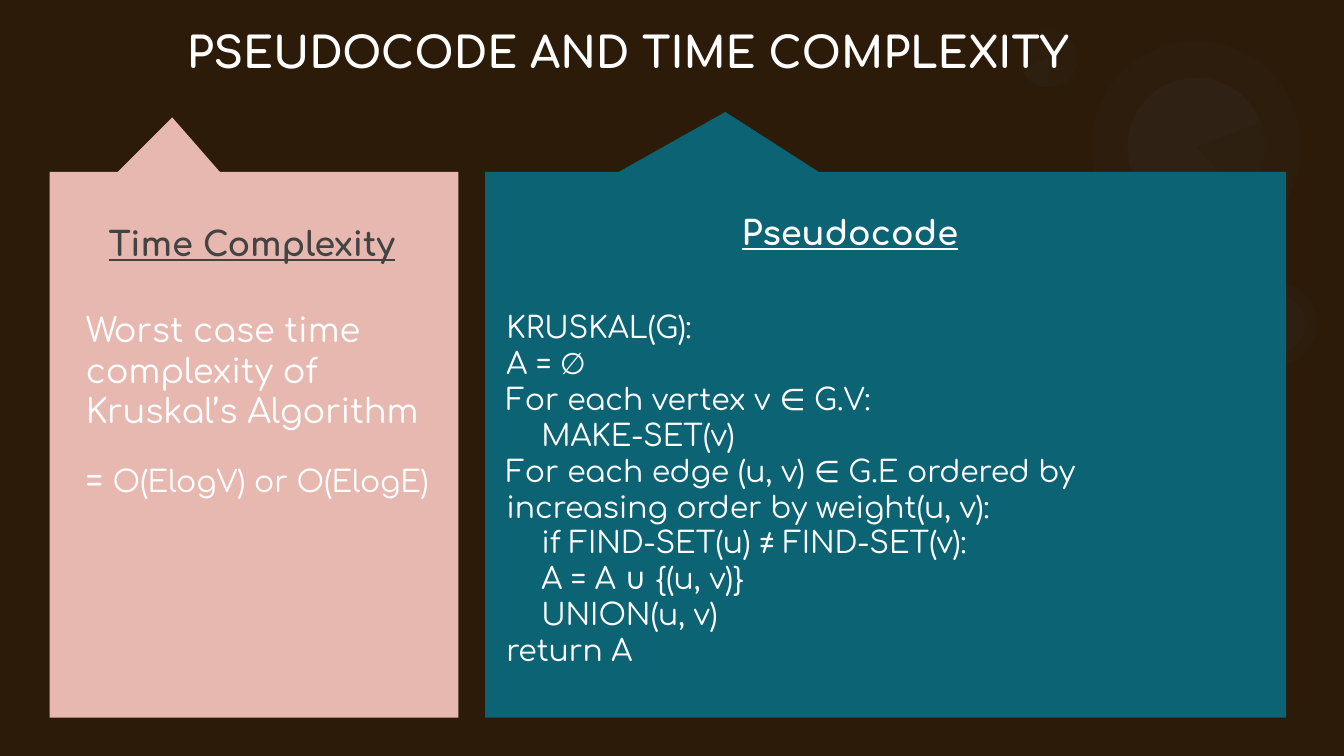
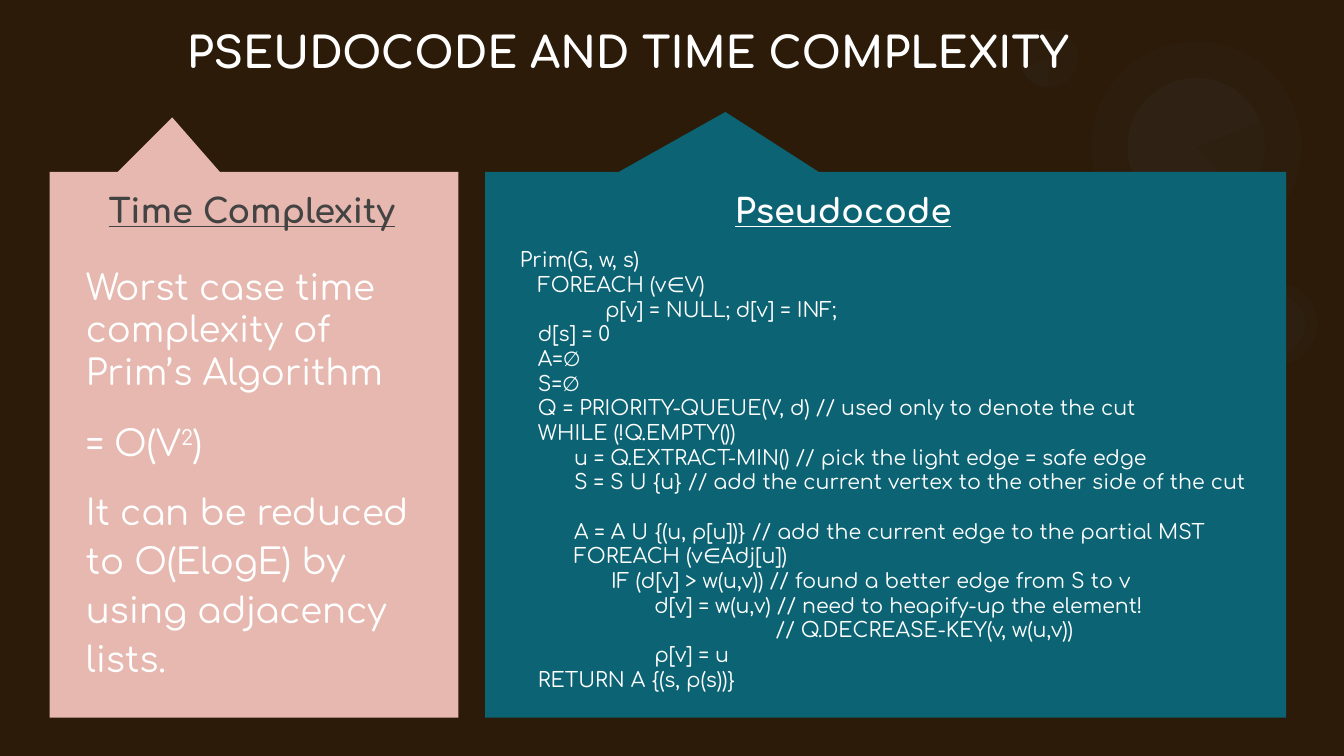
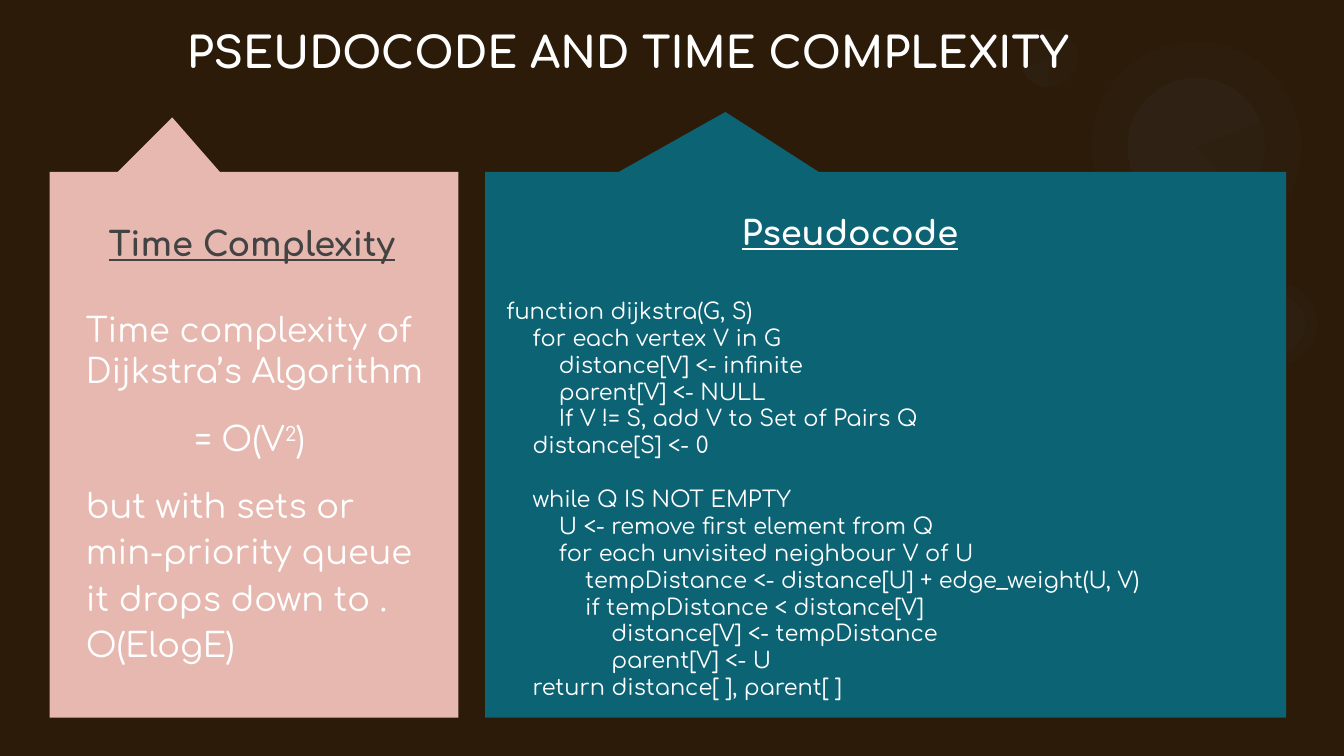
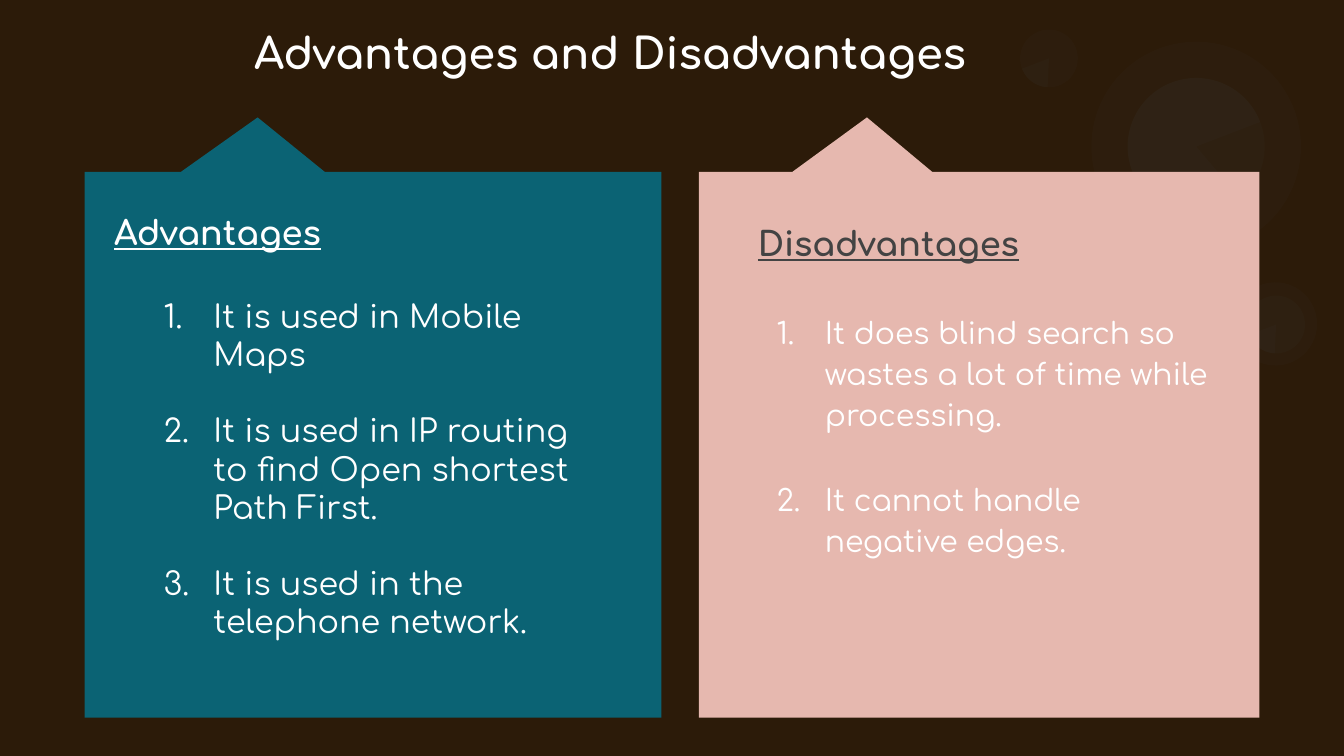
import lxml.etree
import pptx
import pptx.dml.color
import pptx.enum.shapes
import pptx.enum.text
import pptx.oxml.ns
import pptx.util

WIDTH = 10
HEIGHT = WIDTH * 9 / 16
FONT = "Comfortaa"
COLORS = {"backdrop": "BF7527", "shade": "000000", "white": "FFFFFF",
          "pink": "E6B8AF", "teal": "0B6374", "gray": "434343"}
HEADING_COLORS = {"pink": "gray", "teal": "white"}
PANEL_TOP, PANEL_HEIGHT = 1.28, 4.06
INSET = 0.1
BUBBLE_ALPHA, SHADE_ALPHA = 9, 77

BUBBLES = [
    (8.39, 0.58, 1.02, 215.9, None),
    (8.39, 0.58, 1.02, 215.9, (193.77, 123.14)),
    (8.12, 0.31, 1.56, 215.8, None),
    (9.18, 2.1, 0.62, 35.9, None),
    (9.28, 2.2, 0.43, 35.8, None),
    (9.28, 2.2, 0.43, 35.8, (57, 123.14)),
    (7.59, 0.22, 0.43, 35.8, None),
    (7.59, 0.22, 0.43, 35.8, (57, 123.14)),
]

KRUSKAL = [
    "KRUSKAL(G):",
    "A = ∅",
    "For each vertex v ∈ G.V:",
    "    MAKE-SET(v)",
    "For each edge (u, v) ∈ G.E ordered by increasing order by weight(u, v):",
    "    if FIND-SET(u) ≠ FIND-SET(v):",
    "    A = A ∪ {(u, v)}",
    "    UNION(u, v)",
    "return A",
]

PRIM = [
    "Prim(G, w, s)",
    "   FOREACH (v∈V)",
    {"text": "   p[v] = NULL; d[v] = INF;", "first": 0.5},
    "   d[s] = 0",
    "   A=∅",
    "   S=∅",
    "   Q = PRIORITY-QUEUE(V, d) // used only to denote the cut",
    "   WHILE (!Q.EMPTY())",
    "         u = Q.EXTRACT-MIN() // pick the light edge = safe edge",
    "         S = S U {u} // add the current vertex to the other side of the cut",
    {"text": "         A = A U {(u, p[u])} // add the current edge to the partial MST",
     "before": 13.2},
    "         FOREACH (v∈Adj[u])",
    {"text": "    IF (d[v] > w(u,v)) // found a better edge from S to v", "left": 0.5},
    {"text": "d[v] = w(u,v) // need to heapify-up the element!", "left": 1},
    {"text": "         // Q.DECREASE-KEY(v, w(u,v))", "left": 1.5},
    {"text": "p[v] = u", "left": 1},
    "   RETURN A {(s, p(s))}",
]

DIJKSTRA = [
    "function dijkstra(G, S)",
    "    for each vertex V in G",
    "        distance[V] <- infinite",
    "        parent[V] <- NULL",
    "        If V != S, add V to Set of Pairs Q",
    "    distance[S] <- 0",
    {"text": "    while Q IS NOT EMPTY", "before": 14.4},
    "        U <- remove first element from Q",
    "        for each unvisited neighbour V of U",
    "            tempDistance <- distance[U] + edge_weight(U, V)",
    "            if tempDistance < distance[V]",
    "                distance[V] <- tempDistance",
    "                parent[V] <- U",
    "    return distance[ ], parent[ ]",
]

KRUSKAL_COST = [
    "Worst case time complexity of Kruskal’s Algorithm",
    {"text": ["= ", ("O(ElogV) or O(ElogE)", {"size": 16})], "before": 12, "spacing": 1.15},
]
SQUARED = {"text": ["= O(V", ("2", {"raised": 30}), ") "], "before": 12, "spacing": 1.15}
PRIM_COST = [
    "Worst case time complexity of Prim’s Algorithm",
    SQUARED,
    {"text": "It can be reduced to O(ElogE) by using adjacency lists.",
     "before": 11, "spacing": 1.15},
]
DIJKSTRA_COST = [
    "Time complexity of Dijkstra’s Algorithm",
    {**SQUARED, "center": True},
    {"text": "but with sets or min-priority queue it drops down to . O(ElogE)",
     "before": 11, "spacing": 1.15},
]


def numbered(texts, first, gap, spacing=None):
    return [{"text": text, "left": 0.5, "first": first, "numbered": True,
             "before": gap if index else None, "spacing": spacing}
            for index, text in enumerate(texts)]


ADVANTAGES = numbered([
    "It is used in Mobile Maps",
    "It is used in IP routing to find Open shortest Path First.",
    "It is used in the telephone network.",
], -0.37, 20.4)
DISADVANTAGES = numbered([
    "It does blind search so wastes a lot of time while processing.",
    "It cannot handle negative edges.",
], -0.36, 23.5, 1.15)


def panel(color, left, width, tip, heading, heading_at, lines, size, lines_at):
    return {"color": color, "left": left, "width": width, "tip": tip,
            "heading": heading, "heading_at": heading_at,
            "lines": lines, "size": size, "lines_at": lines_at}


def complexity_page(cost, cost_size, cost_at, code, code_size, code_at,
                    cost_heading_top=1.56, code_heading=(5.42, 1.48, 1.85, 0.55)):
    return {"title": "PSEUDOCODE AND TIME COMPLEXITY", "title_at": (1.29, 0.09, 6.9, 0.64),
            "panels": [
                panel("pink", 0.37, 3.04, (-0.2, -0.6), "Time Complexity",
                      (0.71, cost_heading_top, 2.46, 0.55), cost, cost_size, cost_at),
                panel("teal", 3.61, 5.96, (-0.2, -0.61), "Pseudocode",
                      code_heading, code, code_size, code_at)]}


PAGES = [
    complexity_page(KRUSKAL_COST, 18, (0.54, 2.2, 2.87, 2.65),
                    KRUSKAL, 16, (3.67, 2.2, 5.63, 2.91)),
    complexity_page(PRIM_COST, 19, (0.54, 1.87, 2.71, 3.29),
                    PRIM, 11, (3.77, 1.74, 5.63, 3.52), 1.31, (5.37, 1.31, 1.83, 0.55)),
    complexity_page(DIJKSTRA_COST, 18, (0.54, 2.2, 2.71, 2.98),
                    DIJKSTRA, 12, (3.67, 2.11, 5.63, 3.22)),
    {"title": "Advantages and Disadvantages", "title_at": (1.79, 0.1, 5.76, 0.64),
     "panels": [
         panel("pink", 5.2, 4.17, (-0.2, -0.6), "Disadvantages",
               (5.54, 1.56, 2.46, 0.55), DISADVANTAGES, 16, (5.54, 2.2, 3.57, 2.98)),
         panel("teal", 0.63, 4.29, (-0.2, -0.6), "Advantages",
               (0.75, 1.48, 1.85, 0.55), ADVANTAGES, 17, (0.99, 2.11, 3.57, 3.22))]},
]


def inches(values):
    return [pptx.util.Inches(value) for value in values]


def rgb(name):
    return pptx.dml.color.RGBColor.from_string(COLORS[name])


def add_child(parent, tag, **attributes):
    child = lxml.etree.SubElement(parent, pptx.oxml.ns.qn(tag))
    for name, value in attributes.items():
        child.set(name, str(value))
    return child


def add_shape(page, kind, at, color, alpha=100):
    shape = page.shapes.add_shape(kind, *inches(at))
    shape.shadow.inherit = False
    shape.fill.solid()
    shape.fill.fore_color.rgb = rgb(color)
    shape.line.fill.background()
    if alpha < 100:
        fill = shape.element.spPr.find(pptx.oxml.ns.qn("a:solidFill"))
        add_child(fill[0], "a:alpha", val=alpha * 1000)
    return shape


def write_line(paragraph, line, size, color, bold, underline):
    if isinstance(line, str):
        line = {"text": line}
    properties = paragraph._p.get_or_add_pPr()
    properties.set("marL", str(pptx.util.Inches(line.get("left", 0))))
    properties.set("indent", str(pptx.util.Inches(line.get("first", 0))))
    if line.get("numbered"):
        bullet_color = add_child(properties, "a:buClr")
        add_child(bullet_color, "a:srgbClr", val=COLORS[color])
        add_child(properties, "a:buFont", typeface=FONT)
        add_child(properties, "a:buAutoNum", type="arabicPeriod")
    paragraph.alignment = (pptx.enum.text.PP_ALIGN.CENTER if line.get("center")
                           else pptx.enum.text.PP_ALIGN.LEFT)
    paragraph.line_spacing = line.get("spacing") or 1.0
    paragraph.space_before = pptx.util.Pt(line.get("before") or 0)
    font = paragraph.font
    font.name, font.size = FONT, pptx.util.Pt(size)
    font.bold, font.underline = bold, underline
    font.color.rgb = rgb(color)
    parts = line["text"]
    for part in [parts] if isinstance(parts, str) else parts:
        text, changes = (part, {}) if isinstance(part, str) else part
        span = paragraph.add_run()
        span.text = text
        if "size" in changes:
            span.font.size = pptx.util.Pt(changes["size"])
        if "raised" in changes:
            span._r.get_or_add_rPr().set("baseline", str(changes["raised"] * 1000))


def write_box(box, at, lines, size, color="white", bold=False, underline=False):
    box.left, box.top, box.width, box.height = inches(at)
    frame = box.text_frame
    frame.word_wrap = True
    frame.auto_size = pptx.enum.text.MSO_AUTO_SIZE.NONE
    frame.vertical_anchor = pptx.enum.text.MSO_ANCHOR.TOP
    frame.margin_left = frame.margin_right = pptx.util.Inches(INSET)
    frame.margin_top = frame.margin_bottom = pptx.util.Inches(INSET)
    for index, line in enumerate(lines):
        paragraph = frame.add_paragraph() if index else frame.paragraphs[0]
        write_line(paragraph, line, size, color, bold, underline)


def add_text(page, at, *args, **style):
    write_box(page.shapes.add_textbox(*inches(at)), at, *args, **style)


def decorate_layout(layout, page):
    layout.background.fill.solid()
    layout.background.fill.fore_color.rgb = rgb("backdrop")
    for left, top, size, turn, angles in BUBBLES:
        kinds = pptx.enum.shapes.MSO_SHAPE
        bubble = add_shape(page, kinds.PIE if angles else kinds.OVAL,
                           (left, top, size, size), "white", BUBBLE_ALPHA)
        bubble.rotation = turn
        for index, angle in enumerate(angles or ()):
            bubble.adjustments[index] = angle * 0.6
        layout.shapes.element.append(bubble.element)


def fill_page(page, content):
    add_shape(page, pptx.enum.shapes.MSO_SHAPE.RECTANGLE,
              (0, 0, WIDTH, HEIGHT), "shade", SHADE_ALPHA)
    for part in content["panels"]:
        callout = add_shape(page, pptx.enum.shapes.MSO_SHAPE.RECTANGULAR_CALLOUT,
                            (part["left"], PANEL_TOP, part["width"], PANEL_HEIGHT),
                            part["color"])
        callout.adjustments[0], callout.adjustments[1] = part["tip"]
    for part in content["panels"]:
        add_text(page, part["lines_at"], part["lines"], part["size"])
    title = page.shapes.title
    page.shapes.element.append(title.element)
    write_box(title, content["title_at"], [content["title"]], 23, bold=True)
    for part in content["panels"]:
        add_text(page, part["heading_at"], [part["heading"]], 18,
                 HEADING_COLORS[part["color"]], bold=True, underline=True)


def main():
    deck = pptx.Presentation()
    deck.slide_width, deck.slide_height = inches((WIDTH, HEIGHT))
    layout = deck.slide_layouts.get_by_name("Title Only")
    for holder in list(layout.placeholders)[1:]:
        holder.element.getparent().remove(holder.element)
    pages = [deck.slides.add_slide(layout) for content in PAGES]
    decorate_layout(layout, pages[0])
    for page, content in zip(pages, PAGES):
        fill_page(page, content)
    deck.save("out.pptx")


if __name__ == "__main__":
    main()
